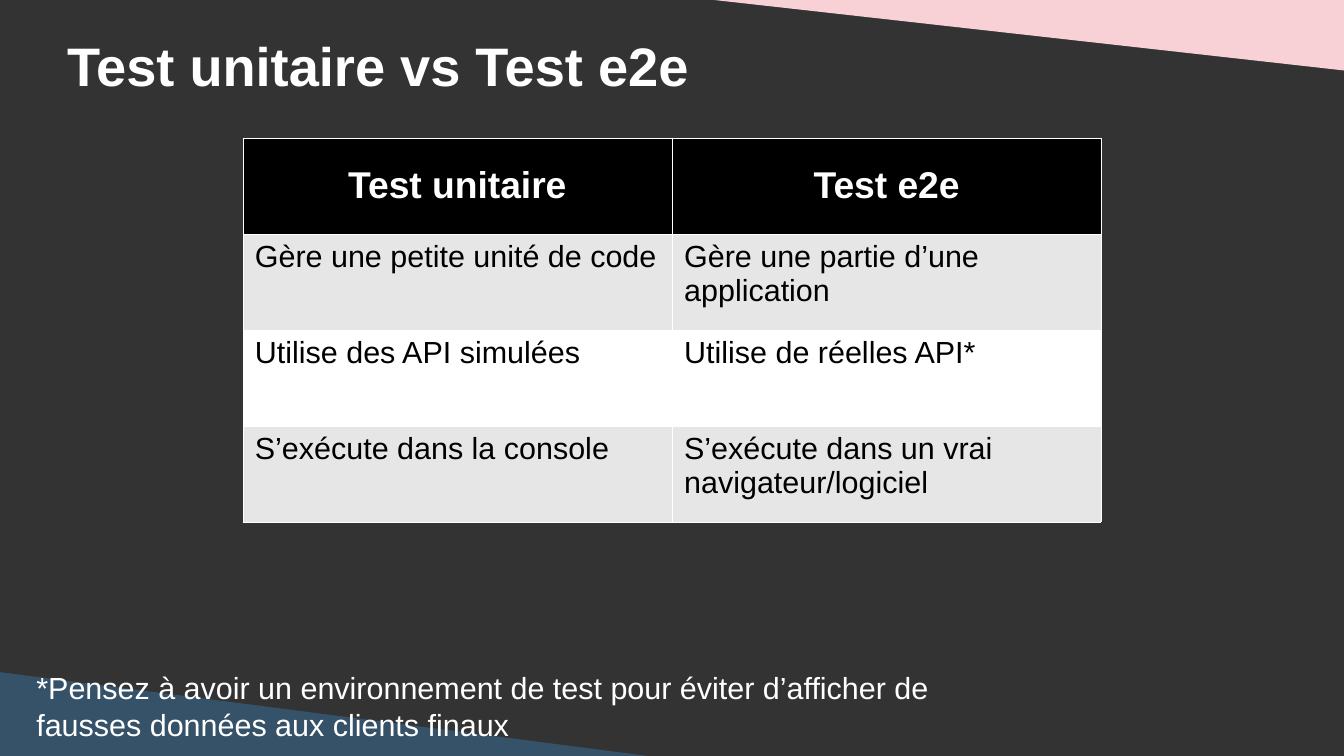
from dataclasses import dataclass

from lxml.etree import SubElement
from pptx import Presentation
from pptx.dml.color import RGBColor
from pptx.enum.shapes import MSO_SHAPE
from pptx.enum.text import MSO_ANCHOR, MSO_AUTO_SIZE, PP_ALIGN
from pptx.oxml.ns import qn
from pptx.util import Inches, Pt


@dataclass(frozen=True)
class Theme:
    font: str = "Arial"
    background: str = "333333"
    pink: str = "F7D1D5"
    blue: str = "355269"
    white: str = "FFFFFF"
    black: str = "000000"
    band: str = "E6E6E6"
    title_size: int = 32
    header_size: int = 22
    body_size: int = 18
    border_width: float = 0.06


theme = Theme()


def write_text(text_frame, text, size, color, bold=False, alignment=PP_ALIGN.LEFT):
    text_frame.text = text
    paragraph = text_frame.paragraphs[0]
    paragraph.alignment = alignment
    font_format = {"name": theme.font, "size": Pt(size), "bold": bold}
    for name, value in font_format.items():
        setattr(paragraph.font, name, value)
    paragraph.font.color.rgb = RGBColor.from_string(color)


def set_cell_borders(cell):
    properties = cell._tc.get_or_add_tcPr()
    for position, side in enumerate(("lnL", "lnR", "lnT", "lnB")):
        line = SubElement(properties, qn(f"a:{side}"), w=str(Pt(theme.border_width)))
        fill = SubElement(line, qn("a:solidFill"))
        SubElement(fill, qn("a:srgbClr"), val=theme.white)
        properties.insert(position, line)  # borders come before the cell fill


presentation = Presentation()
presentation.slide_width = Inches(11.02)
presentation.slide_height = Inches(6.2)
slide = presentation.slides.add_slide(presentation.slide_layouts[5])
slide.background.fill.solid()
slide.background.fill.fore_color.rgb = RGBColor.from_string(theme.background)

# Corner triangles: left, top, height, rotation, colour
corners = [
    (5.41, -0.05, 0.64, 180, theme.pink),
    (-0.02, 5.51, 0.74, 0, theme.blue),
]
for left, top, height, rotation, color in corners:
    triangle = slide.shapes.add_shape(
        MSO_SHAPE.RIGHT_TRIANGLE, Inches(left), Inches(top), Inches(5.72), Inches(height)
    )
    triangle.rotation = rotation
    triangle.shadow.inherit = False
    triangle.fill.solid()
    triangle.fill.fore_color.rgb = RGBColor.from_string(color)
    triangle.line.fill.background()

# Title
title = slide.shapes.title
title_place = {
    "left": Inches(0.55), "top": Inches(0.25),
    "width": Inches(9.92), "height": Inches(0.56),
}
for name, value in title_place.items():
    setattr(title, name, value)
title_format = {
    "margin_left": 0, "margin_top": 0, "margin_right": 0, "margin_bottom": 0,
    "word_wrap": True,
    "auto_size": MSO_AUTO_SIZE.SHAPE_TO_FIT_TEXT,
    "vertical_anchor": MSO_ANCHOR.MIDDLE,
}
for name, value in title_format.items():
    setattr(title.text_frame, name, value)
write_text(title.text_frame, "Test unitaire vs Test e2e", theme.title_size, theme.white, bold=True)

# Comparison table
comparison = [
    ("Test unitaire", "Test e2e"),
    ("Gère une petite unité de code", "Gère une partie d’une application"),
    ("Utilise des API simulées", "Utilise de réelles API*"),
    ("S’exécute dans la console", "S’exécute dans un vrai navigateur/logiciel"),
]
table = slide.shapes.add_table(
    len(comparison), 2, Inches(1.99), Inches(1.13), Inches(7.04), Inches(3.15)
).table
for row, texts in enumerate(comparison):
    for column, text in enumerate(texts):
        cell = table.cell(row, column)
        cell.fill.solid()
        if row == 0:
            fill_color = theme.black
            cell.vertical_anchor = MSO_ANCHOR.MIDDLE
            write_text(cell.text_frame, text, theme.header_size, theme.white, True, PP_ALIGN.CENTER)
        else:
            fill_color = theme.band if row % 2 else theme.white
            write_text(cell.text_frame, text, theme.body_size, theme.black)
        cell.fill.fore_color.rgb = RGBColor.from_string(fill_color)
        set_cell_borders(cell)

# Footnote
footnote = slide.shapes.add_textbox(Inches(0.2), Inches(5.44), Inches(8.07), Inches(0.66))
footnote.text_frame.word_wrap = True
footnote.text_frame.auto_size = MSO_AUTO_SIZE.SHAPE_TO_FIT_TEXT
write_text(
    footnote.text_frame,
    "*Pensez à avoir un environnement de test pour éviter d’afficher de "
    "fausses données aux clients finaux",
    theme.body_size,
    theme.white,
)

presentation.save("out.pptx")
